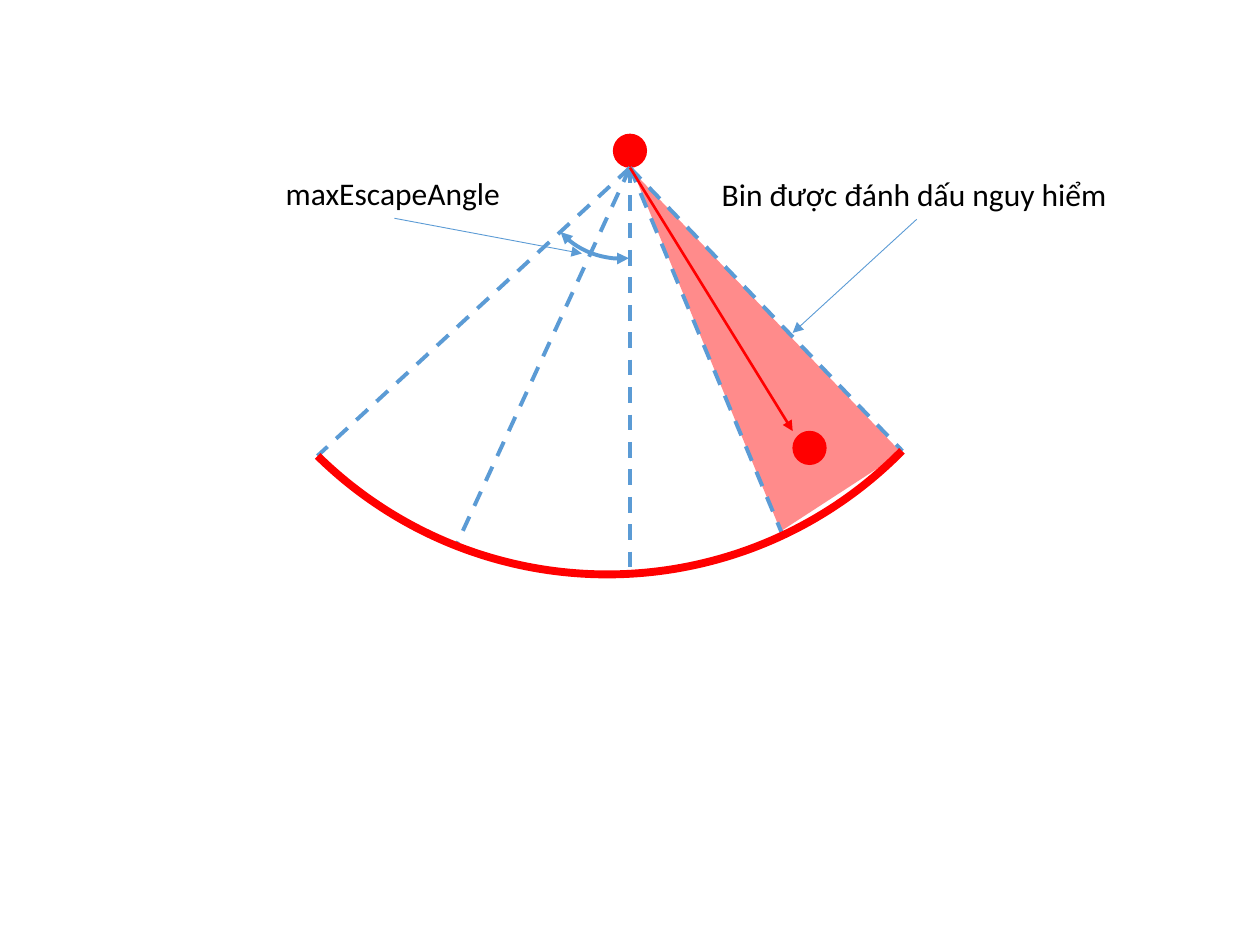
from lxml import etree
from pptx import Presentation
from pptx.dml.color import RGBColor
from pptx.enum import dml, shapes as sh, text as tx
from pptx.oxml.ns import qn
from pptx.util import Cm, Pt

HUE = {"red": "FF0000", "pink": "FF8B8B", "blue": "5B9BD5", "black": "000000"}
KIND = sh.MSO_SHAPE

# All places are in centimetres.
DOT = 0.69
APEX = (12.7, 3.38)
ENEMY = (12.7, 3.04)
TARGET = (16.32, 9.03)
HIT = (15.98, 8.69)
RAYS = [(6.4, 9.19), (18.19, 9.09), (12.7, 11.53), (15.75, 10.72), (9.17, 11.05)]
BIN = (13.41, 2.84, 2.9, 7.7)
WAVE = (3.91, -5.08, 16.66, 16.66)
ANGLE = (10.92, 2.08, 3.33, 3.12)
LABELS = [  # wording, box, arrow tip
    ("Bin được đánh dấu nguy hiểm", (14.3, 3.4, 8.36, 1.02), (15.98, 6.71)),
    ("maxEscapeAngle", (5.51, 3.38, 4.88, 1.02), (11.73, 5.11)),
]

prs = Presentation()
prs.slide_width, prs.slide_height = Cm(25.4), Cm(19.05)
slide = prs.slides.add_slide(prs.slide_layouts[6])


def rgb(name):
    return RGBColor.from_string(HUE[name])


def stroke(item, hue, width, dash=False, ends=()):
    """Style a line; ends lists headEnd and tailEnd, in that order."""
    line = item.line
    line.color.rgb = rgb(hue)
    line.width = Pt(width)
    if dash:
        line.dash_style = dml.MSO_LINE.DASH
    ln = item._element.spPr.find(qn("a:ln"))
    for end in ends:
        etree.SubElement(ln, qn("a:" + end), type="triangle")


def draw(kind, box, fill=None, turn=0):
    item = slide.shapes.add_shape(kind, *map(Cm, box))
    item.shadow.inherit = False
    item.rotation = turn
    if fill:
        item.fill.solid()
        item.fill.fore_color.rgb = rgb(fill)
        item.line.fill.background()
    else:
        item.fill.background()
    return item


def dot(mid):
    x, y = mid
    draw(KIND.OVAL, (x - DOT / 2, y - DOT / 2, DOT, DOT), "red")


def link(start, end, *style, **more):
    item = slide.shapes.add_connector(
        sh.MSO_CONNECTOR.STRAIGHT, *map(Cm, start + end))
    etree.SubElement(item._element.spPr, qn("a:effectLst"))
    stroke(item, *style, **more)
    return item


def label(words, box, tip):
    note = slide.shapes.add_textbox(*map(Cm, box))
    frame = note.text_frame
    frame.word_wrap = False
    frame.auto_size = tx.MSO_AUTO_SIZE.SHAPE_TO_FIT_TEXT
    par = frame.paragraphs[0]
    par.text = words
    par.font.size, par.font.name = Pt(18), "Calibri"
    par.font.color.rgb = rgb("black")
    x, y, w, h = box
    arrow = link((x + w / 2, y + h), tip, "blue", 0.5, ends=["tailEnd"])
    arrow.begin_connect(note, 2)


draw(KIND.ISOSCELES_TRIANGLE, BIN, "pink", 327)
dot(ENEMY)
for end in RAYS:
    link(APEX, end, "blue", 2.25, dash=True)
dot(TARGET)
link(APEX, HIT, "red", 1.5, ends=["tailEnd"])

wave = draw(KIND.ARC, WAVE, turn=134.5)
stroke(wave, "red", 4.5)
angle = draw(KIND.ARC, ANGLE, turn=161.2)
angle.adjustments[0], angle.adjustments[1] = 171.27, 203.91
stroke(angle, "blue", 2.25, ends=["headEnd", "tailEnd"])

for row in LABELS:
    label(*row)

prs.save("out.pptx")
